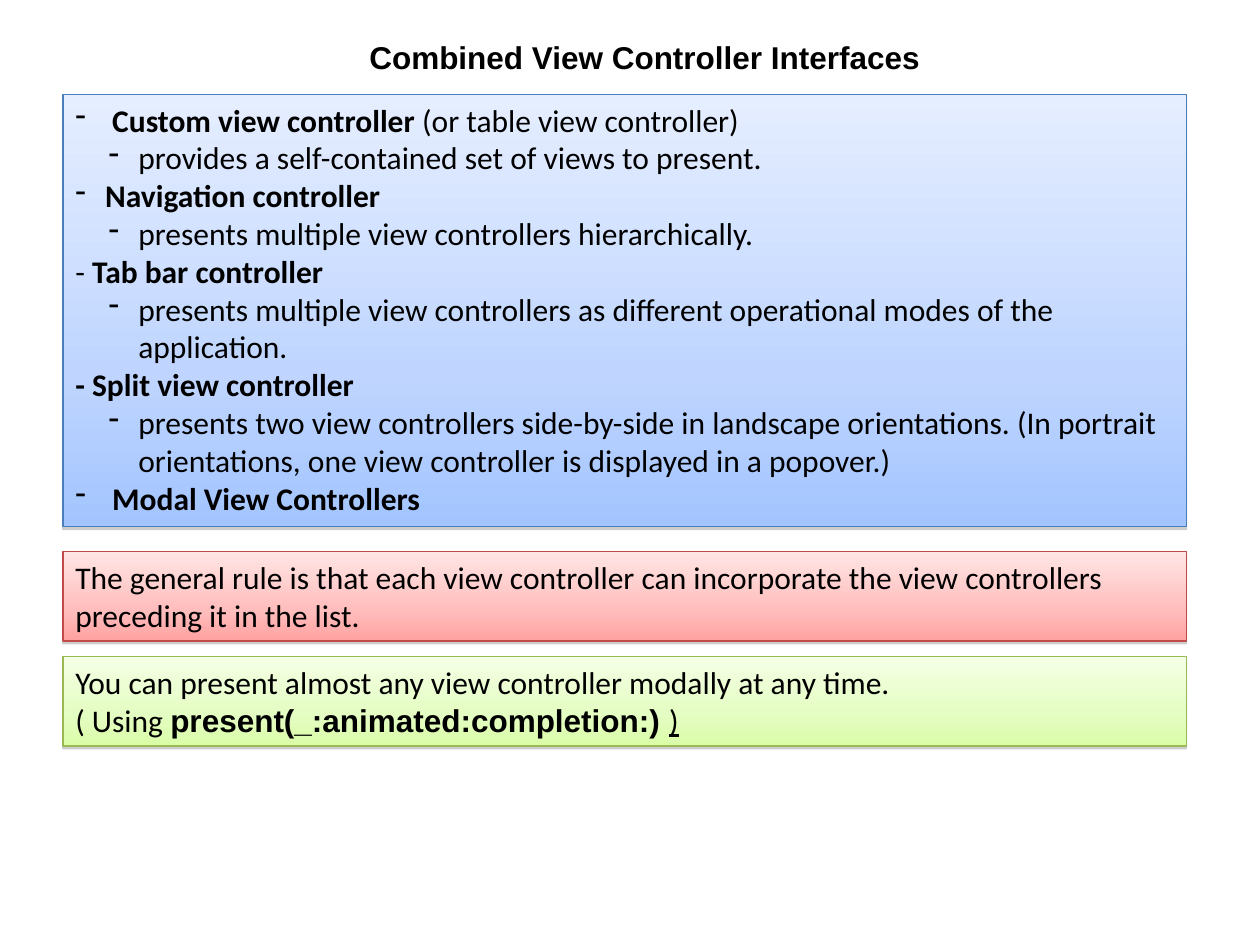
from lxml import etree
from pptx import Presentation
from pptx.dml.color import RGBColor
from pptx.enum.shapes import MSO_SHAPE
from pptx.enum.text import MSO_ANCHOR, MSO_AUTO_SIZE, PP_ALIGN
from pptx.oxml.ns import qn
from pptx.util import Pt

RECT = MSO_SHAPE.RECTANGLE
TOP = MSO_ANCHOR.TOP
GROW = MSO_AUTO_SIZE.SHAPE_TO_FIT_TEXT
LEFT = PP_ALIGN.LEFT

COLORS = {
    "text": "000000",
    "shadow": "808080",
    "blue_line": "4A7EBB",
    "red_line": "BE4B48",
    "green_line": "98B954",
}
GRADIENTS = {
    "blue": ("E5EEFF", "BFD5FF", "A3C4FF"),
    "red": ("FFE5E5", "FFBEBD", "FFA2A1"),
    "green": ("F5FFE6", "E4FDC2", "DAFDA7"),
}
STOPS = (0, 65, 100)
SIZE = 18
HANG = 17  # distance from dash to text
BOX_LEFT, BOX_WIDTH = 36, 642

# Paragraphs are (left margin or None, runs); runs are (text, style letters):
# b = bold, u = underlined, a = Arial
PLAIN, DASH, SUB_DASH = None, HANG, 36
CONTROLLERS = [
    (DASH, [(" Custom view controller ", "b"), ("(or table view controller)", "")]),
    (SUB_DASH, [("provides a self-contained set of views to present.", "")]),
    (DASH, [("Navigation controller", "b")]),
    (SUB_DASH, [("presents multiple view controllers hierarchically.", "")]),
    (PLAIN, [("- ", ""), ("Tab bar controller", "b")]),
    (SUB_DASH, [("presents multiple view controllers as different operational "
                 "modes of the application.", "")]),
    (PLAIN, [("- Split view controller", "b")]),
    (SUB_DASH, [("presents two view controllers side-by-side in landscape "
                 "orientations. (In portrait orientations, one view controller "
                 "is displayed in a popover.)", "")]),
    (DASH, [(" Modal View Controllers", "b")]),
]
RULE = [
    (PLAIN, [("The general rule is that each view controller can incorporate "
              "the view controllers preceding it in the list.", "")]),
]
MODAL = [
    (PLAIN, [("You can present almost any view controller modally at any time.", "")]),
    (PLAIN, [("( Using ", ""), ("present(_:animated:completion:) ", "ab"), (")", "u")]),
]


def add_color(parent, color):
    return etree.SubElement(parent, qn("a:srgbClr"), val=color)


def set_gradient(sp, colors):
    sp.fill.gradient()
    grad = sp._element.spPr.find(qn("a:gradFill"))
    stops = grad.find(qn("a:gsLst"))
    for stop in list(stops):
        stops.remove(stop)
    for pos, color in zip(STOPS, colors):
        add_color(etree.SubElement(stops, qn("a:gs"), pos=str(pos * 1000)), color)
    grad.find(qn("a:lin")).set("ang", "5400000")


def set_shadow(sp):
    sp.shadow.inherit = False
    effects = sp._element.spPr.find(qn("a:effectLst"))
    shadow = etree.SubElement(effects, qn("a:outerShdw"), blurRad="0",
                              dist=str(Pt(1.6)), dir="5400000", rotWithShape="0")
    etree.SubElement(add_color(shadow, COLORS["shadow"]), qn("a:alpha"), val="38000")


def set_dash(p, margin):
    pPr = p._p.get_or_add_pPr()
    pPr.set("marL", str(Pt(margin)))
    pPr.set("indent", str(-Pt(HANG)))
    etree.SubElement(pPr, qn("a:buChar"), char="-")


def fill_text(sp, paragraphs):
    tf = sp.text_frame
    tf.word_wrap = True
    tf.auto_size = GROW
    tf.vertical_anchor = TOP
    for i, (margin, runs) in enumerate(paragraphs):
        p = tf.add_paragraph() if i else tf.paragraphs[0]
        p.alignment = LEFT
        if margin:
            set_dash(p, margin)
        for text, style in runs:
            r = p.add_run()
            r.text = text
            r.font.size = Pt(SIZE)
            r.font.name = "Arial" if "a" in style else "Calibri"
            r.font.bold = "b" in style
            r.font.underline = "u" in style
            r.font.color.rgb = RGBColor.from_string(COLORS["text"])


def add_title(s, text):
    sp = s.shapes.add_textbox(Pt(204), Pt(18), Pt(438), Pt(29))
    fill_text(sp, [(PLAIN, [(text, "ab")])])


def add_panel(s, top, height, color, paragraphs):
    sp = s.shapes.add_shape(RECT, Pt(BOX_LEFT), Pt(top), Pt(BOX_WIDTH), Pt(height))
    set_gradient(sp, GRADIENTS[color])
    sp.line.color.rgb = RGBColor.from_string(COLORS[color + "_line"])
    sp.line.width = Pt(0.75)
    set_shadow(sp)
    fill_text(sp, paragraphs)


def main():
    prs = Presentation()
    prs.slide_width, prs.slide_height = Pt(720), Pt(540)
    s = prs.slides.add_slide(prs.slide_layouts[6])

    # Heading
    add_title(s, "Combined View Controller Interfaces")

    # List of controllers, then the two notes
    add_panel(s, 54, 247, "blue", CONTROLLERS)
    add_panel(s, 315.25, 51, "red", RULE)
    add_panel(s, 375.25, 51, "green", MODAL)

    prs.save("out.pptx")


if __name__ == "__main__":
    main()
